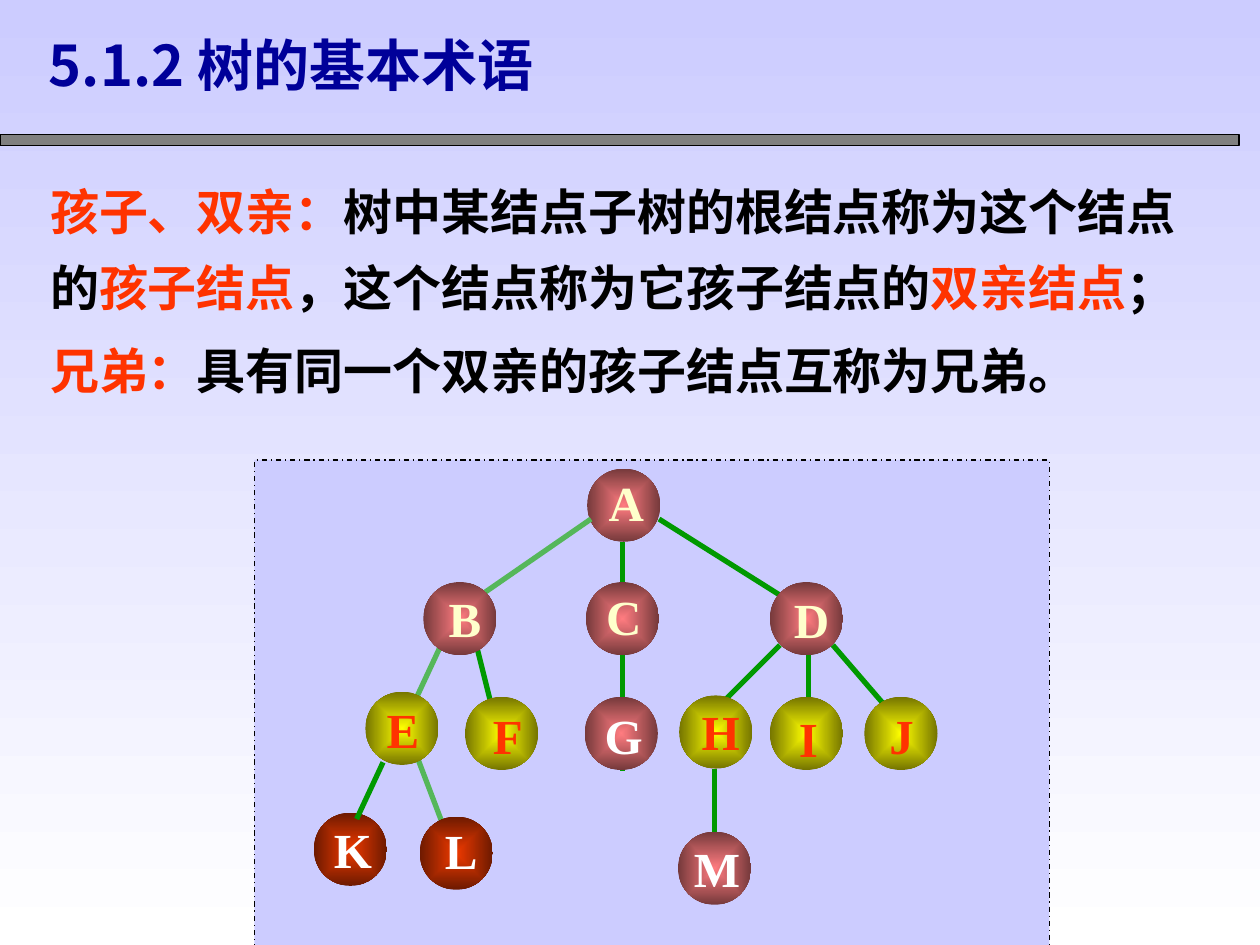
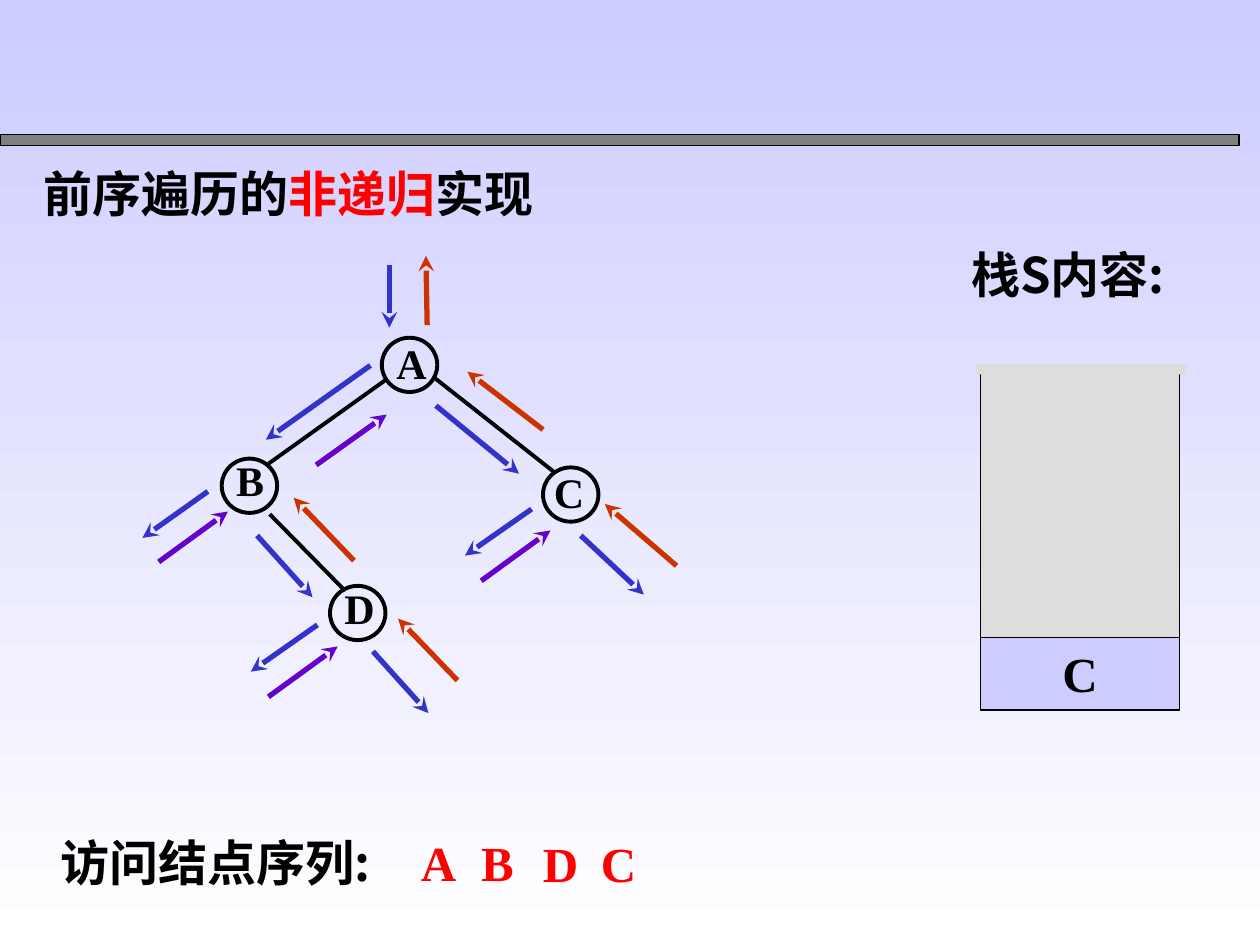
import pptx
import pptx.util
import pptx.dml.color
import pptx.enum.dml
import pptx.enum.shapes
import pptx.enum.text
import pptx.oxml
import pptx.oxml.ns

Pt = pptx.util.Pt
RGB = pptx.dml.color.RGBColor
SHAPE = pptx.enum.shapes.MSO_SHAPE
CENTER = pptx.enum.text.PP_ALIGN.CENTER
MIDDLE = pptx.enum.text.MSO_ANCHOR.MIDDLE
qn = pptx.oxml.ns.qn

CJK, LATIN = "Noto Sans CJK SC", "Times New Roman"

BLACK = RGB(0x00, 0x00, 0x00)
WHITE = RGB(0xFF, 0xFF, 0xFF)
LAVENDER = RGB(0xCC, 0xCC, 0xFF)
GRAY = RGB(0x80, 0x80, 0x80)
SILVER = RGB(0xDD, 0xDD, 0xDD)
NAVY = RGB(0x00, 0x00, 0x99)
ORANGE = RGB(0xFF, 0x33, 0x00)
RED = RGB(0xFF, 0x00, 0x00)
CREAM = RGB(0xFF, 0xFF, 0xCC)
GREEN = RGB(0x00, 0x99, 0x00)
PALE_GREEN = RGB(0x55, 0xB7, 0x5A)
BLUE = RGB(0x33, 0x33, 0xCC)
PURPLE = RGB(0x66, 0x00, 0xCC)
RUST = RGB(0xCC, 0x33, 0x00)

# Centre and rim colours of the tree nodes
ROSE_BALL = (RGB(0xFF, 0x7C, 0x80), RGB(0x75, 0x39, 0x3B))
YELLOW_BALL = (RGB(0xFF, 0xFF, 0x00), RGB(0x75, 0x75, 0x00))
RED_BALL = (RGB(0xEE, 0x39, 0x00), RGB(0x6D, 0x1A, 0x00))


def write(frame, paragraphs, *, size=28, font=CJK, align=None, anchor=None,
          inset=(7.2, 3.6), wrap=True, spacing=None, before=0):
    """Fill a text frame; each paragraph is a list of (text, colour) spans."""
    frame.word_wrap = wrap
    frame.margin_left = frame.margin_right = Pt(inset[0])
    frame.margin_top = frame.margin_bottom = Pt(inset[1])
    if anchor is not None:
        frame.vertical_anchor = anchor
    for index, spans in enumerate(paragraphs):
        para = frame.add_paragraph() if index else frame.paragraphs[0]
        para.alignment = align
        para.line_spacing = spacing
        if index:
            para.space_before = Pt(before)
        for text, color in spans:
            span = para.add_run()
            span.text = text
            span.font.name = font
            span.font.size = Pt(size)
            span.font.bold = True
            span.font.color.rgb = color
            east_asian = pptx.oxml.parse_xml(
                f'<a:ea {pptx.oxml.ns.nsdecls("a")} typeface="{font}"/>')
            span.font._element.append(east_asian)


def set_gradient(fill, colors):
    fill.gradient()
    for stop, color in zip(fill.gradient_stops, colors):
        stop.color.rgb = color


class Lecture:
    """The deck, its style and the page being drawn."""

    def __init__(self):
        self.deck = pptx.Presentation()
        self.deck.slide_width, self.deck.slide_height = Pt(720), Pt(540)
        background = self.deck.slide_master.background.fill
        set_gradient(background, (LAVENDER, WHITE))
        background.gradient_angle = 270
        self.page = None

    def new_page(self):
        self.page = self.deck.slides.add_slide(self.deck.slide_layouts[6])
        self.shape(SHAPE.RECTANGLE, 0, 77, 708, 6, fill=GRAY, line=BLACK)

    def shape(self, kind, left, top, width, height, fill=None, line=None,
              weight=0.75, dash=None):
        shape = self.page.shapes.add_shape(
            kind, Pt(left), Pt(top), Pt(width), Pt(height))
        shape.shadow.inherit = False
        if fill is None:
            shape.fill.background()
        else:
            shape.fill.solid()
            shape.fill.fore_color.rgb = fill
        if line is None:
            shape.line.fill.background()
        else:
            shape.line.color.rgb = line
            shape.line.width = Pt(weight)
            shape.line.dash_style = dash
        return shape

    def ball(self, left, top, colors, size=41.8):
        ball = self.shape(SHAPE.OVAL, left, top, size, size)
        set_gradient(ball.fill, colors)
        gradient = ball._element.spPr.find(qn("a:gradFill"))
        radial = pptx.oxml.parse_xml(
            f'<a:path {pptx.oxml.ns.nsdecls("a")} path="rect"><a:fillToRect '
            'l="50000" t="50000" r="50000" b="50000"/></a:path>')
        gradient.replace(gradient.find(qn("a:lin")), radial)

    def text(self, left, top, width, height, paragraphs, **style):
        box = self.page.shapes.add_textbox(
            Pt(left), Pt(top), Pt(width), Pt(height))
        write(box.text_frame, paragraphs, **style)

    def line(self, ends, color, weight=3.0, arrow=False):
        line = self.page.shapes.add_connector(
            pptx.enum.shapes.MSO_CONNECTOR.STRAIGHT, *(Pt(end) for end in ends))
        line.line.color.rgb = color
        line.line.width = Pt(weight)
        properties = line._element.spPr
        properties.append(properties.makeelement(qn("a:effectLst"), {}))
        if arrow:
            outline = properties.find(qn("a:ln"))
            outline.append(outline.makeelement(qn("a:tailEnd"), {"type": "stealth"}))


def draw_terms(lecture):
    lecture.new_page()
    lecture.text(21.6, 90, 668, 142, [
        [("孩子、双亲：", ORANGE), ("树中某结点子树的根结点称为这个结点的", BLACK),
         ("孩子结点", ORANGE), ("，这个结点称为它孩子结点的", BLACK),
         ("双亲结点", ORANGE), ("；", BLACK)],
        [("兄弟：", ORANGE), ("具有同一个双亲的孩子结点互称为兄弟。", BLACK)],
    ], spacing=1.3, before=3.5)
    lecture.shape(SHAPE.RECTANGLE, 145.4, 262.8, 454.3, 279.4, fill=LAVENDER,
                  line=BLACK, dash=pptx.enum.dml.MSO_LINE.DASH_DOT)

    # Letter, ball left and top, ball colours, label left, top, width and colour
    root, *descendants = nodes = [
        ("A", 335.5, 267.8, ROSE_BALL, 340.6, 266.4, 34.6, CREAM),
        ("B", 241.9, 332.6, ROSE_BALL, 249.1, 332.6, 33.1, CREAM),
        ("C", 334.8, 332.6, ROSE_BALL, 339.1, 331.2, 34.6, CREAM),
        ("D", 439.9, 332.6, ROSE_BALL, 446.4, 333.4, 34.6, CREAM),
        ("E", 208.8, 395.3, YELLOW_BALL, 213.8, 396, 33.1, ORANGE),
        ("F", 265.7, 398.2, YELLOW_BALL, 274.3, 399.6, 31.7, ORANGE),
        ("G", 334.1, 398.2, ROSE_BALL, 338.4, 399.6, 36, WHITE),
        ("H", 388.1, 397.4, YELLOW_BALL, 393.8, 397.4, 36, ORANGE),
        ("I", 439.9, 398.2, YELLOW_BALL, 449.3, 401, 25.2, ORANGE),
        ("J", 493.9, 398.2, YELLOW_BALL, 501.1, 399.6, 28.1, ORANGE),
        ("K", 179.3, 464.4, RED_BALL, 183.6, 464.4, 36, WHITE),
        ("L", 239.8, 466.6, RED_BALL, 247, 465.1, 33.1, WHITE),
        ("M", 387.4, 475.2, ROSE_BALL, 389.5, 475.2, 40.3, WHITE),
    ]
    branches = {
        GREEN: [
            (475.9, 368.6, 511.9, 410.4), (445.7, 368.6, 409.7, 404.6),
            (462.2, 374.4, 462.2, 404.6), (408.2, 439.2, 408.2, 475.2),
            (376.6, 296.6, 452.2, 344.2), (355.7, 309.6, 355.7, 440.6),
            (272.2, 368.6, 283, 411.8),
        ],
        PALE_GREEN: [
            (337.7, 296.6, 277.2, 338.4), (239, 434.2, 252.7, 470.2),
            (252, 368.6, 236.9, 401),
        ],
    }

    # The branches lie over the root and under the other nodes
    lecture.ball(*root[1:4])
    for color, lines in branches.items():
        for ends in lines:
            lecture.line(ends, color)
    for node in descendants:
        lecture.ball(*node[1:4])
    for letter, _, _, _, left, top, width, color in nodes:
        lecture.text(left, top, width, 41, [[(letter, color)]], font=LATIN,
                     align=CENTER, anchor=MIDDLE, wrap=False)
    lecture.line((218.9, 435.6, 203.8, 468), GREEN)  # from E, over K

    # Title
    lecture.text(20.9, 13.7, 311.8, 84.2, [[("5.1.2 树的基本术语", NAVY)]], size=32)


def draw_preorder(lecture):
    lecture.new_page()
    lecture.text(18, 90, 366, 41, [
        [("前序遍历的", BLACK), ("非递归", RED), ("实现", BLACK)]])

    # Visited sequence
    lecture.text(34.6, 472.3, 192.2, 41, [[("访问结点序列:", BLACK)]], inset=(0, 3.6))
    for letter, left, top in (("A", 240.5, 472.3), ("B", 275, 472.3),
                              ("D", 310.3, 473), ("C", 343.4, 473)):
        lecture.text(left, top, 23.8, 41, [[(letter, RED)]], font=LATIN,
                     inset=(0, 3.6))

    # Stack, open at the top
    lecture.text(547.9, 136.1, 131.8, 74.9, [[("栈S内容:", BLACK)]])
    lecture.shape(SHAPE.RECTANGLE, 560.2, 208.1, 113.8, 198, fill=SILVER, line=BLACK)
    lecture.shape(SHAPE.RECTANGLE, 558, 208.1, 120.2, 5.8, fill=SILVER)
    entry = lecture.shape(SHAPE.RECTANGLE, 560.2, 364.3, 113.8, 41,
                          fill=LAVENDER, line=BLACK)
    write(entry.text_frame, [[("C", BLACK)]], font=LATIN, align=CENTER)

    # Tree: letter, circle left and top, label left and top
    for letter, left, top, label_left, label_top in (
            ("A", 218.2, 193, 221.8, 193), ("D", 188.6, 334.8, 192.2, 332.6),
            ("B", 126.7, 262.1, 129.6, 259.9), ("C", 310.3, 267.1, 311.8, 266.4)):
        lecture.text(label_left, label_top, 26.6, 37.4, [[(letter, BLACK)]],
                     size=24, font=LATIN, align=CENTER, inset=(0, 0))
        lecture.shape(SHAPE.OVAL, left, top, 31.7, 31, line=BLACK, weight=2.25)
    for ends in ((221, 216.7, 153.4, 265), (248.4, 216, 316.1, 269.3),
                 (154.1, 293.8, 197.3, 337.7)):
        lecture.line(ends, BLACK, 2.25)

    # Walk: down a branch, back from the left, back from the right
    walk = {
        BLUE: [
            (222.5, 151.2, 222.5, 187.2), (211.7, 208.8, 151.9, 251.3),
            (118.8, 280.8, 81.4, 307.4), (146.9, 306, 178.6, 341.3),
            (213.1, 372.2, 244.8, 407.5), (249.1, 231.8, 296.6, 270.7),
            (303.8, 290.9, 265.7, 317.5), (181.4, 357.1, 143.3, 383.8),
            (331.9, 306, 367.9, 339.8),
        ],
        PURPLE: [
            (180.7, 265.7, 221, 236.9), (90.7, 321.1, 130.3, 292.3),
            (275, 331.9, 314.6, 303.1), (153.4, 398.2, 193, 369.4),
        ],
        RUST: [
            (261.4, 388.8, 227.5, 353.5), (202.3, 320.4, 167.8, 284.4),
            (310.3, 245.5, 267.1, 212.4), (244.1, 185.8, 243.4, 146.2),
            (386.6, 323.3, 345.6, 288),
        ],
    }
    for color, steps in walk.items():
        for ends in steps:
            lecture.line(ends, color, arrow=True)


def main():
    lecture = Lecture()
    draw_terms(lecture)
    draw_preorder(lecture)
    lecture.deck.save("out.pptx")


if __name__ == "__main__":
    main()
